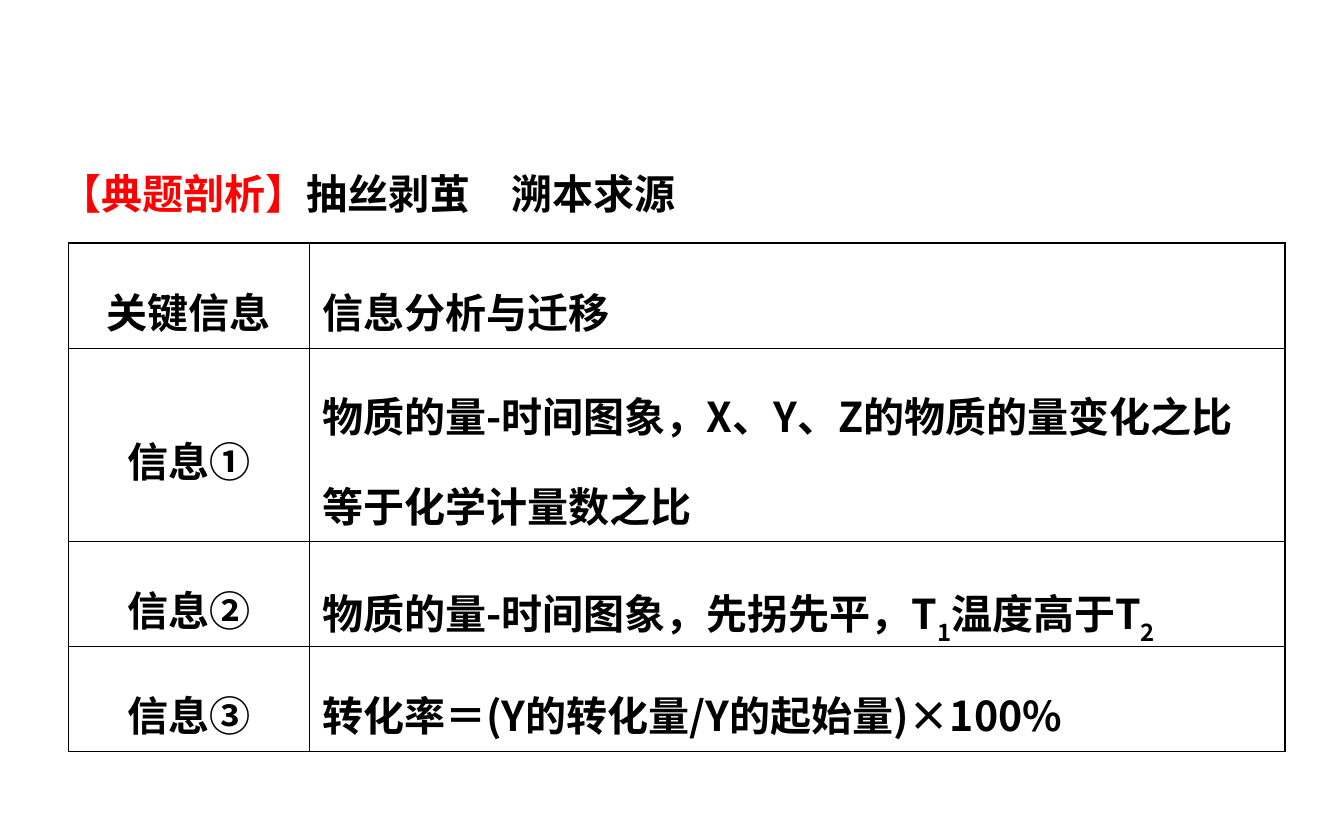
from dataclasses import dataclass

from lxml import etree
from pptx import Presentation
from pptx.dml.color import RGBColor
from pptx.enum.text import MSO_ANCHOR, MSO_AUTO_SIZE, PP_ALIGN
from pptx.oxml.ns import qn
from pptx.util import Pt

LEFT, CENTER = PP_ALIGN.LEFT, PP_ALIGN.CENTER
TOP, MIDDLE = MSO_ANCHOR.TOP, MSO_ANCHOR.MIDDLE
GROW = MSO_AUTO_SIZE.SHAPE_TO_FIT_TEXT
TITLE_ONLY = 5


@dataclass(frozen=True)
class Theme:
    font: str = "Noto Sans CJK SC"
    size: float = 22
    ink: str = "000000"
    accent: str = "FF0000"
    outer_line: float = 1.08
    inner_line: float = 0.45


THEME = Theme()
MARGINS = {
    "margin_left": Pt(7.2),
    "margin_right": Pt(7.2),
    "margin_top": Pt(3.6),
    "margin_bottom": Pt(3.6),
}
COLUMN_WIDTHS = (128.9, 522.7)
ROW_HEIGHTS = (56.2, 103.7, 56.2, 56.2)
# Each cell is a list of (text, is_subscript) pieces.
ROWS = [
    ([("关键信息", False)], [("信息分析与迁移", False)]),
    ([("信息①", False)],
     [("物质的量-时间图象，X、Y、Z的物质的量变化之比等于化学计量数之比", False)]),
    ([("信息②", False)],
     [("物质的量-时间图象，先拐先平，T", False), ("1", True),
      ("温度高于T", False), ("2", True)]),
    ([("信息③", False)], [("转化率＝(Y的转化量/Y的起始量)×100%", False)]),
]


def set_attributes(target, values):
    for name, value in values.items():
        setattr(target, name, value)


def add_run(paragraph, text, color=THEME.ink, subscript=False):
    run = paragraph.add_run()
    run.text = text
    set_attributes(run.font, {"name": THEME.font, "size": Pt(THEME.size), "bold": True})
    run.font.color.rgb = RGBColor.from_string(color)
    properties = run._r.get_or_add_rPr()
    etree.SubElement(properties, qn("a:ea"), typeface=THEME.font)
    if subscript:
        properties.set("baseline", "-30000")


def add_border(cell, side, width):
    line = etree.SubElement(cell._tc.get_or_add_tcPr(), qn(f"a:ln{side}"), w=str(Pt(width)))
    fill = etree.SubElement(line, qn("a:solidFill"))
    etree.SubElement(fill, qn("a:srgbClr"), val=THEME.ink)


def add_heading(slide):
    heading = slide.shapes.title
    set_attributes(heading, {"left": Pt(25.2), "top": Pt(65.5),
                             "width": Pt(679), "height": Pt(54.7)})
    frame = heading.text_frame
    set_attributes(frame, {**MARGINS, "word_wrap": True, "auto_size": GROW,
                           "vertical_anchor": TOP})
    paragraph = frame.paragraphs[0]
    set_attributes(paragraph, {"alignment": LEFT, "line_spacing": 1.8})
    add_run(paragraph, "【典题剖析】", THEME.accent)
    add_run(paragraph, "抽丝剥茧　溯本求源")


def fill_cell(cell, pieces, alignment, outer_sides):
    set_attributes(cell, {**MARGINS, "vertical_anchor": MIDDLE})
    for side in "LRTB":
        add_border(cell, side, THEME.outer_line if side in outer_sides else THEME.inner_line)
    cell.fill.background()
    paragraph = cell.text_frame.paragraphs[0]
    set_attributes(paragraph, {"alignment": alignment, "line_spacing": 1.5})
    for text, subscript in pieces:
        add_run(paragraph, text, subscript=subscript)


def add_analysis_table(slide):
    table = slide.shapes.add_table(
        len(ROWS), len(COLUMN_WIDTHS), Pt(36.7), Pt(130.3),
        Pt(sum(COLUMN_WIDTHS)), Pt(sum(ROW_HEIGHTS))).table
    set_attributes(table, {"first_row": False, "horz_banding": False})
    for column, width in zip(table.columns, COLUMN_WIDTHS):
        column.width = Pt(width)
    for row, height in zip(table.rows, ROW_HEIGHTS):
        row.height = Pt(height)
    vertical_edges = {0: "T", len(ROWS) - 1: "B"}
    for row_index, (label, analysis) in enumerate(ROWS):
        edge = vertical_edges.get(row_index, "")
        fill_cell(table.cell(row_index, 0), label, CENTER, "L" + edge)
        fill_cell(table.cell(row_index, 1), analysis, LEFT, "R" + edge)


def main():
    presentation = Presentation()
    set_attributes(presentation, {"slide_width": Pt(720), "slide_height": Pt(450)})
    slide = presentation.slides.add_slide(presentation.slide_layouts[TITLE_ONLY])
    add_heading(slide)
    add_analysis_table(slide)
    presentation.save("out.pptx")


if __name__ == "__main__":
    main()
